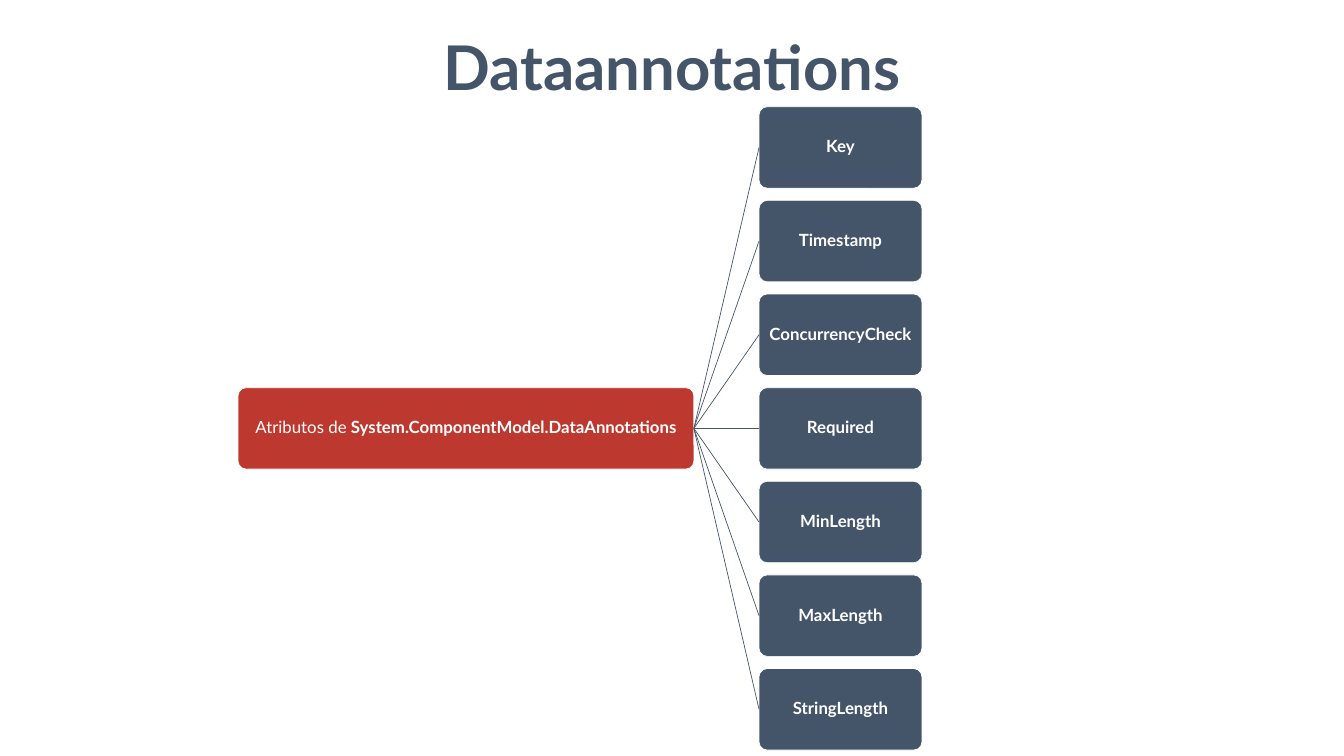
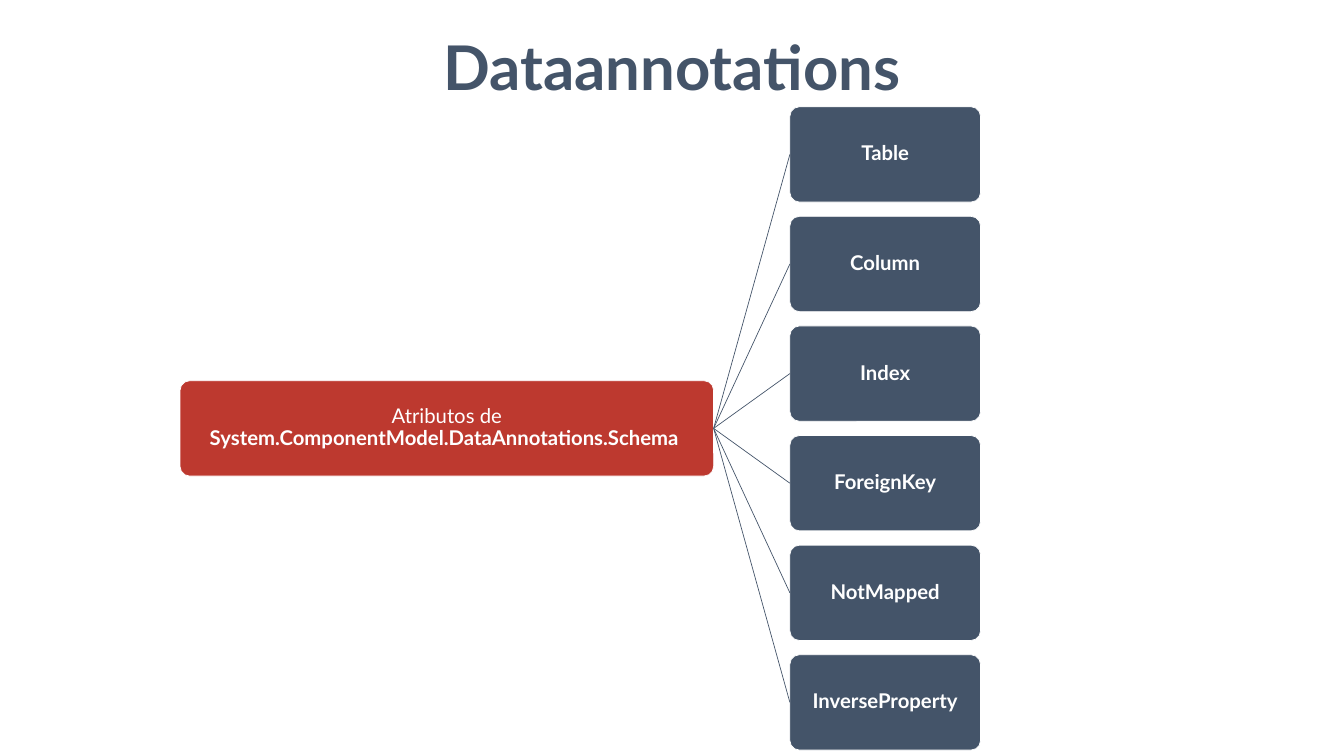
from lxml import etree
from pptx import Presentation
from pptx import util as u
from pptx.dml.color import RGBColor
from pptx.enum import shapes, text
from pptx.oxml.ns import qn

TITLE = "Dataannotations"
TREES = [
    {
        "root": [("Atributos de ", False),
                 ("System.ComponentModel.DataAnnotations", True)],
        "leaves": ["Key", "Timestamp", "ConcurrencyCheck", "Required",
                   "MinLength", "MaxLength", "StringLength"],
        "left": 340, "root_width": 651, "size": 24,
    },
    {
        "root": [("Atributos de ", False),
                 ("System.ComponentModel.DataAnnotations.Schema ", True)],
        "leaves": ["Table", "Column", "Index", "ForeignKey",
                   "NotMapped", "InverseProperty"],
        "left": 257.2, "root_width": 762, "size": 29,
    },
]

FONT = "Lato"
SLATE, RED, WHITE = "445469", "BD392F", "FFFFFF"
SLIDE_W, SLIDE_H = 1919.52, 1080
TREE_TOP, TREE_H = 152.5, 919
PITCH, LINK, LEAF_W = 1.15, 0.8, 2


def paint(color_format, color):
    color_format.rgb = RGBColor.from_string(color)


def add_runs(tf, runs, size, color):
    p = tf.paragraphs[0]
    p.alignment = text.PP_ALIGN.CENTER
    for words, bold in runs:
        r = p.add_run()
        r.text = words
        r.font.name = FONT
        r.font.size = u.Pt(size)
        r.font.bold = bold
        paint(r.font.color, color)
    return p


def add_title(s):
    sp = s.shapes.add_textbox(u.Pt(473), u.Pt(38), u.Pt(973.4), u.Pt(113.8))
    tf = sp.text_frame
    tf.word_wrap = True
    tf.auto_size = text.MSO_AUTO_SIZE.SHAPE_TO_FIT_TEXT
    add_runs(tf, [(TITLE, True)], 88, SLATE)


def add_box(s, left, top, width, height, fill, runs, size):
    sp = s.shapes.add_shape(shapes.MSO_SHAPE.ROUNDED_RECTANGLE,
                            u.Pt(left), u.Pt(top), u.Pt(width), u.Pt(height))
    sp.adjustments[0] = 0.1
    sp.shadow.inherit = False
    sp.fill.solid()
    paint(sp.fill.fore_color, fill)
    paint(sp.line.color, WHITE)
    sp.line.width = u.Pt(1)
    tf = sp.text_frame
    tf.word_wrap = True
    tf.vertical_anchor = text.MSO_ANCHOR.MIDDLE
    tf.margin_left = tf.margin_right = u.Pt(2)
    tf.margin_top = tf.margin_bottom = u.Pt(2)
    add_runs(tf, runs, size, WHITE).line_spacing = 0.9
    return sp


def add_link(s, root, leaf):
    cx = s.shapes.add_connector(shapes.MSO_CONNECTOR.STRAIGHT, 0, 0, 0, 0)
    cx.begin_connect(root, 3)
    cx.end_connect(leaf, 1)
    paint(cx.line.color, SLATE)
    cx.line.width = u.Pt(1)
    etree.SubElement(cx._element.spPr, qn("a:effectLst"))


def add_tree(s, tree):
    leaves, size = tree["leaves"], tree["size"]
    height = TREE_H / (1 + PITCH * (len(leaves) - 1))
    root_top = TREE_TOP + (TREE_H - height) / 2
    leaf_left = tree["left"] + tree["root_width"] + LINK * height
    root = add_box(s, tree["left"], root_top, tree["root_width"], height,
                   RED, tree["root"], size)
    for i, name in enumerate(leaves):
        leaf = add_box(s, leaf_left, TREE_TOP + i * PITCH * height,
                       LEAF_W * height, height, SLATE, [(name, True)], size)
        add_link(s, root, leaf)


def main():
    prs = Presentation()
    prs.slide_width, prs.slide_height = u.Pt(SLIDE_W), u.Pt(SLIDE_H)
    for tree in TREES:
        s = prs.slides.add_slide(prs.slide_layouts[6])
        add_title(s)
        add_tree(s, tree)
    prs.save("out.pptx")


if __name__ == "__main__":
    main()
